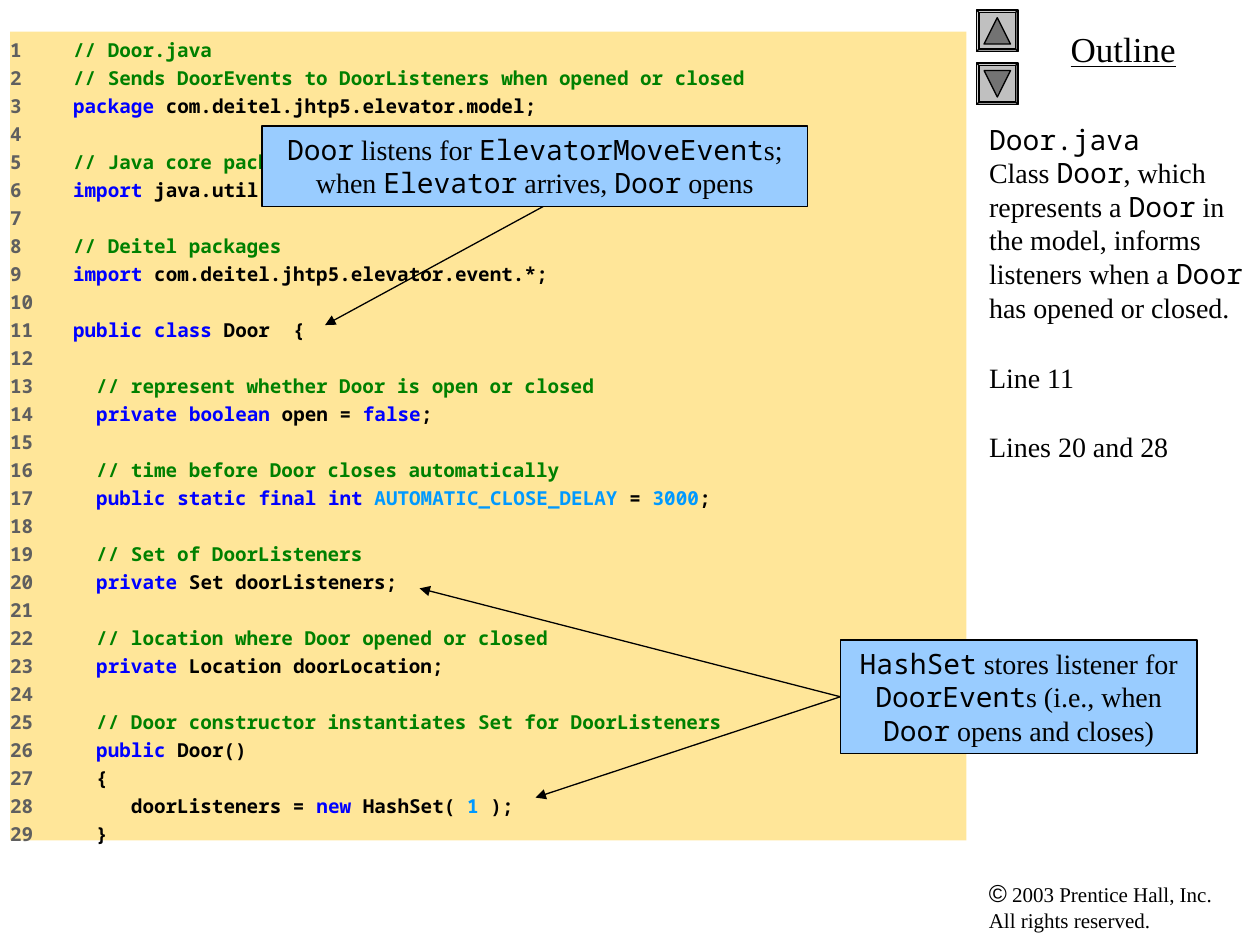
from itertools import groupby

from lxml import etree
from pptx import Presentation
from pptx.dml.color import RGBColor
from pptx.enum.shapes import MSO_CONNECTOR, MSO_SHAPE
from pptx.enum.text import MSO_ANCHOR, MSO_AUTO_SIZE, PP_ALIGN
from pptx.oxml.ns import qn
from pptx.util import Inches, Pt

LEFT, CENTER = PP_ALIGN.LEFT, PP_ALIGN.CENTER
TOP, NO_FIT = MSO_ANCHOR.TOP, MSO_AUTO_SIZE.NONE
RECT, BEVEL, TRIANGLE = MSO_SHAPE.RECTANGLE, MSO_SHAPE.BEVEL, MSO_SHAPE.ISOSCELES_TRIANGLE
STRAIGHT = MSO_CONNECTOR.STRAIGHT
MONO, SERIF = "Noto Sans Mono", "Times New Roman"
BLACK, GRAY, GREEN, BLUE, CYAN = "000000", "5F5F5F", "008000", "0000FF", "0099FF"
rgb = RGBColor.from_string

CODE = """\
// Door.java
// Sends DoorEvents to DoorListeners when opened or closed
package com.deitel.jhtp5.elevator.model;

// Java core packages
import java.util.*;

// Deitel packages
import com.deitel.jhtp5.elevator.event.*;

public class Door  {

  // represent whether Door is open or closed
  private boolean open = false;

  // time before Door closes automatically
  public static final int AUTOMATIC_CLOSE_DELAY = 3000;

  // Set of DoorListeners
  private Set doorListeners;

  // location where Door opened or closed
  private Location doorLocation;

  // Door constructor instantiates Set for DoorListeners
  public Door()
  {
     doorListeners = new HashSet( 1 );
  }"""
KEYWORDS = "package import public private static final class boolean int new false".split()
CONSTANTS = ["AUTOMATIC_CLOSE_DELAY", "3000", "1"]


def write(p, text, size=16, align=LEFT):
    """Fill a paragraph, setting the parts between backticks in the code font."""
    p.alignment = align
    p.font.size, p.font.color.rgb = Pt(size), rgb(BLACK)
    for i, part in enumerate(text.split("`")):
        if part:
            r = p.add_run()
            r.text = part
            r.font.name = MONO if i % 2 else SERIF


def color_code(line):
    """Return (text, colour) pieces of one line of code."""
    if line.lstrip().startswith("//"):
        return [(line, GREEN)]
    pieces = []
    for word in line.split(" "):
        core = word.rstrip(";")
        color = BLUE if core in KEYWORDS else CYAN if core in CONSTANTS else BLACK
        pieces += [(core, color), (word[len(core):] + " ", BLACK)]
    pieces[-1] = (pieces[-1][0].rstrip(), BLACK)
    pieces = [piece for piece in pieces if piece[0]]
    return [("".join(text for text, _ in group), color)
            for color, group in groupby(pieces, key=lambda piece: piece[1])]


prs = Presentation()
prs.slide_width, prs.slide_height = Inches(10), Inches(7.5)
s = prs.slides.add_slide(prs.slide_layouts[0])
title, listing = s.placeholders[0], s.placeholders[1]

# Side notes and code listing
for sp, box in ((title, (7.75, 0.92, 2.25, 6)), (listing, (0.08, 0.25, 7.59, 6.42))):
    sp.left, sp.top, sp.width, sp.height = map(Inches, box)
    tf = sp.text_frame
    tf.word_wrap, tf.auto_size, tf.vertical_anchor = True, NO_FIT, TOP

notes = [
    ("`Door.java`", 0),
    ("Class `Door`, which represents a `Door` in the model, informs "
     "listeners when a `Door` has opened or closed.", 0),
    ("Line 11", 21),
    ("Lines 20 and 28", 20),
]
tf = title.text_frame
for i, (text, gap) in enumerate(notes):
    p = tf.add_paragraph() if i else tf.paragraphs[0]
    p.space_before = Pt(gap)
    write(p, text)

listing.fill.solid()
listing.fill.fore_color.rgb = rgb("FFE699")
tf = listing.text_frame
tf.margin_left = 0
for number, line in enumerate(CODE.split("\n"), 1):
    p = tf.add_paragraph() if number > 1 else tf.paragraphs[0]
    tabs = etree.SubElement(p._p.get_or_add_pPr(), qn("a:tabLst"))
    etree.SubElement(tabs, qn("a:tab"), pos=str(Inches(0.64)), algn="l")
    p.alignment = LEFT
    p.space_before = Pt(2.8 if number > 1 else 0)
    p.font.name, p.font.size, p.font.bold = MONO, Pt(11), True
    pieces = color_code(line) if line else []
    for text, color in [(f"{number}\t" if line else str(number), GRAY)] + pieces:
        r = p.add_run()
        r.text = text
        r.font.color.rgb = rgb(color)

# Heading and copyright
tf = s.shapes.add_textbox(Inches(7.83), Inches(0.17), Inches(2.17), Inches(0.44)).text_frame
tf.word_wrap = True
write(tf.paragraphs[0], "Outline", 20, CENTER)
tf.paragraphs[0].font.underline = True

tf = s.shapes.add_textbox(Inches(7.75), Inches(6.92), Inches(2.17), Inches(0.54)).text_frame
tf.word_wrap = True
p = tf.paragraphs[0]
r = p.add_run()
r.text = "©"
r.font.name, r.font.size = "Arial", Pt(14)
write(p, " 2003 Prentice Hall, Inc.", 12)
p.add_line_break()
write(p, "All rights reserved.", 12)

# Up and down buttons
for top, rotation in ((0.08, 0), (0.5, 180)):
    for kind, inset_x, inset_y, color in ((BEVEL, 0, 0, "C0C0C0"), (TRIANGLE, 0.06, 0.06, "737373")):
        sp = s.shapes.add_shape(kind, Inches(7.75 + inset_x), Inches(top + inset_y),
                                Inches(0.33 - 2 * inset_x), Inches(0.33 - 2 * inset_y))
        sp.shadow.inherit = False
        sp.fill.solid()
        sp.fill.fore_color.rgb = rgb(color)
        sp.line.color.rgb, sp.line.width = rgb(BLACK), Pt(0.75)
        if kind == BEVEL:
            sp.adjustments[0] = 0.06
        else:
            sp.rotation = rotation

# Callouts, each with arrows to the code lines it explains
callouts = [
    ((2.08, 1, 4.33, 0.64),
     "`Door` listens for `ElevatorMoveEvent`s; when `Elevator` arrives, `Door` opens",
     (4.42, 1.58), [(2.58, 2.58)], None),
    ((6.67, 5.08, 2.83, 0.9),
     "`HashSet` stores listener for `DoorEvent`s (i.e., when `Door` opens and closes)",
     (6.67, 5.53), [(4.25, 6.33), (3.33, 4.67)], 1),
]
for box, text, start, targets, side in callouts:
    arrows = []
    for target in targets:
        arrow = s.shapes.add_connector(STRAIGHT, *map(Inches, start + target))
        arrow.line.color.rgb, arrow.line.width = rgb(BLACK), Pt(0.75)
        etree.SubElement(arrow.line._get_or_add_ln(), qn("a:tailEnd"), type="triangle")
        etree.SubElement(arrow._element.spPr, qn("a:effectLst"))
        arrows.append(arrow)
    sp = s.shapes.add_shape(RECT, *map(Inches, box))
    sp.shadow.inherit = False
    sp.fill.solid()
    sp.fill.fore_color.rgb = rgb("99CCFF")
    sp.line.color.rgb, sp.line.width = rgb(BLACK), Pt(0.75)
    tf = sp.text_frame
    tf.word_wrap, tf.vertical_anchor = True, TOP
    write(tf.paragraphs[0], text, align=CENTER)
    if side is not None:
        for arrow in arrows:
            arrow.begin_connect(sp, side)

prs.save("out.pptx")
